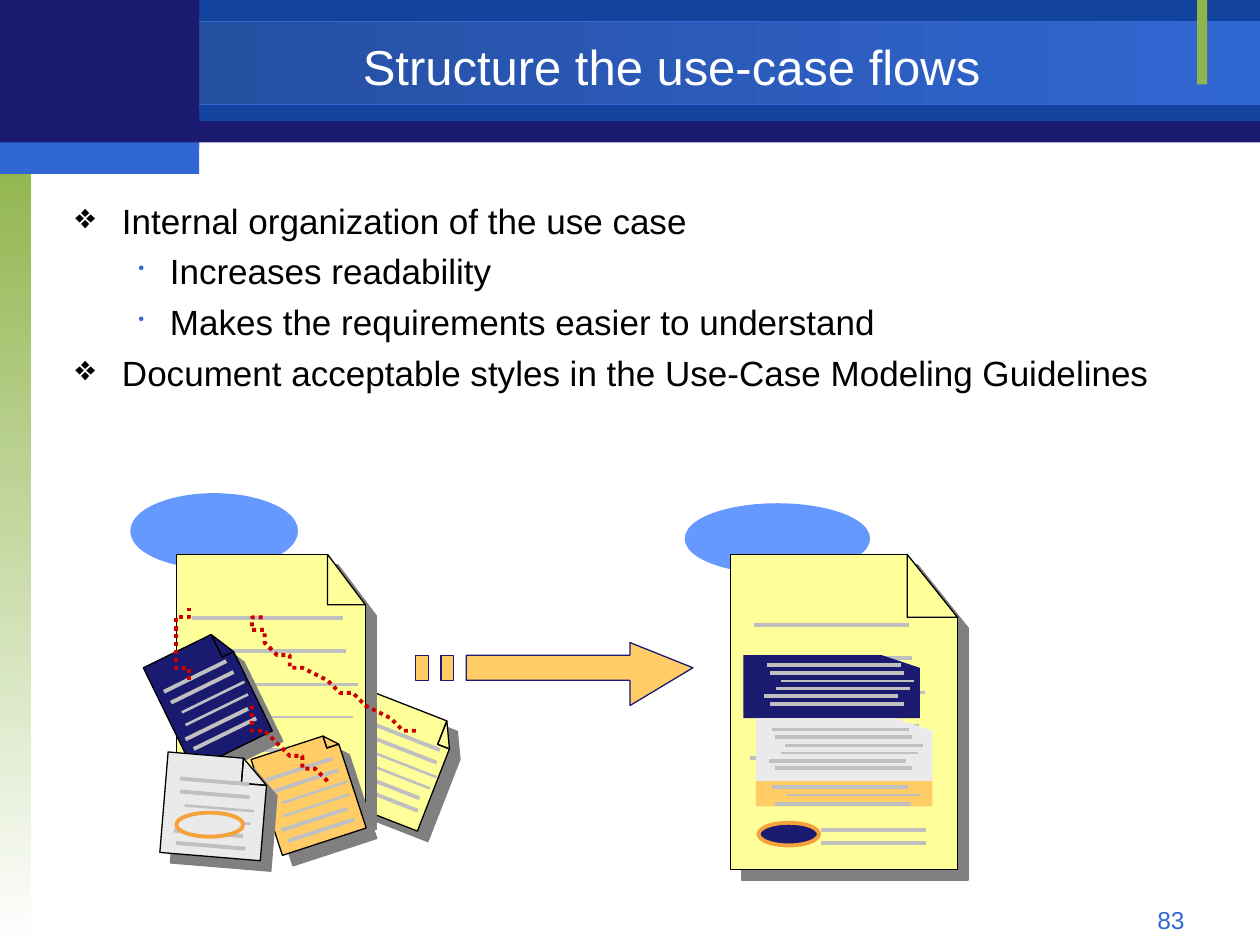
import math
from dataclasses import dataclass

import pptx
import pptx.dml.color
import pptx.enum.dml
import pptx.enum.shapes
import pptx.enum.text
import pptx.oxml
import pptx.oxml.ns
import pptx.util

COLORS = {
    "navy": "1A1A70", "blue": "12449E", "bright": "3167D3", "deep": "234A97",
    "green": "90B54D", "white": "FFFFFF", "black": "000000", "oval": "6699FF",
    "yellow": "FFFF99", "orange": "FFCC66", "gray": "EAEAEA", "rule": "C0C0C0",
    "shadow": "808080", "red": "CC0000", "ring": "F6A23C",
}
FONT = "Arial"
SHAPE = pptx.enum.shapes.MSO_SHAPE
ALIGN = pptx.enum.text.PP_ALIGN
UNIT = pptx.util.Inches(0.1)  # grid of 100 columns and 75 rows

# Text rules of a page: left and top as shares of the text block, width in points
RULES = [(0.02, 0, 2.25), (0.04, 0.2, 2.25), (0.11, 0.41, 1.5),
         (0.08, 0.61, 1.5), (0, 0.81, 2.25), (0.04, 1, 2.25)]
SHORT_RULES = [(0.02, 0, 2.25), (0.11, 0.46, 1.5), (0.04, 1, 2.25)]
RULE_LENGTH = 0.89
TEXT_BLOCK = (0.09, 0.24, 0.85, 0.61)


@dataclass
class Box:
    x: float
    y: float
    w: float
    h: float

    def sub(self, dx, dy, w, h):
        return Box(self.x + dx, self.y + dy, w, h)

    def share(self, fx, fy):
        return self.x + fx * self.w, self.y + fy * self.h

    def emu(self):
        return [round(v * UNIT) for v in (self.x, self.y, self.w, self.h)]


def rgb(name):
    return pptx.dml.color.RGBColor.from_string(COLORS[name])


def xml(tag, inner="", attrs=""):
    ns = pptx.oxml.ns.nsdecls("a")
    return pptx.oxml.parse_xml(f"<a:{tag} {ns} {attrs}>{inner}</a:{tag}>")


def style(sp, fill=None, line=None, width=0.75):
    sp.shadow.inherit = False
    if fill:
        sp.fill.solid()
        sp.fill.fore_color.rgb = rgb(fill)
    else:
        sp.fill.background()
    if line:
        sp.line.color.rgb = rgb(line)
        sp.line.width = pptx.util.Pt(width)
    else:
        sp.line.fill.background()
    return sp


def shape(s, kind, box, fill, line=None, width=0.75):
    return style(s.shapes.add_shape(kind, *box.emu()), fill, line, width)


def gradient(sp, start, end, angle):
    sp.fill.gradient()
    sp.fill.gradient_angle = angle
    for stop, name in zip(sp.fill.gradient_stops, (start, end)):
        stop.color.rgb = rgb(name)


def outline(s, contours, close=True):
    builder = s.shapes.build_freeform(*contours[0][0], scale=UNIT)
    for i, points in enumerate(contours):
        if i:
            builder.move_to(*points[0])
        builder.add_line_segments(points[1:], close=close)
    return builder.convert_to_shape()


def rule(s, start, end, width):
    ends = [round(v * UNIT) for v in (*start, *end)]
    ln = s.shapes.add_connector(pptx.enum.shapes.MSO_CONNECTOR.STRAIGHT, *ends)
    ln.line.color.rgb = rgb("rule")
    ln.line.width = pptx.util.Pt(width)
    ln._element.spPr.append(xml("effectLst"))


def text_box(s, box):
    tf = s.shapes.add_textbox(*box.emu()).text_frame
    tf.word_wrap = True
    return tf


def add_run(p, text, size, color):
    r = p.add_run()
    r.text = text
    r.font.name = FONT
    r.font.size = pptx.util.Pt(size)
    r.font.color.rgb = rgb(color)


def page(s, box, fill, tilt=0, framed=True, block=TEXT_BLOCK, rules=RULES):
    """Sheet with a folded corner and lines of text, turned about its centre."""
    fx, fy = 0.77, 0.19
    sheet = [(0, 0), (fx, 0), (fx, fy), (1, fy), (1, 1), (0, 1)]
    fold = [(fx, 0), (1, fy), (fx, fy)]
    sp = outline(s, [[box.share(*pt) for pt in part] for part in (sheet, fold)])
    style(sp, fill, "black" if framed else None)
    sp.rotation = tilt
    if framed:
        sp._element.spPr.find(pptx.oxml.ns.qn("a:effectLst")).append(
            xml("outerShdw", f'<a:srgbClr val="{COLORS["shadow"]}"/>',
                'dist="107950" dir="2700000" algn="ctr" rotWithShape="0"'))

    cx, cy = box.share(0.5, 0.5)
    cos, sin = math.cos(math.radians(tilt)), math.sin(math.radians(tilt))

    def turned(x, y):
        dx, dy = x - cx, y - cy
        return cx + dx * cos - dy * sin, cy + dx * sin + dy * cos

    lines = Box(*box.share(*block[:2]), block[2] * box.w, block[3] * box.h)
    for left, top, width in rules:
        rule(s, turned(*lines.share(left, top)),
             turned(*lines.share(left + RULE_LENGTH, top)), width)


def dotted_curve(s, box, knots, steps=10):
    """Chain of cubic curves; every third knot lies on the line."""
    points = [knots[0]]
    for i in range(0, len(knots) - 1, 3):
        for n in range(1, steps + 1):
            t = n / steps
            weights = ((1 - t) ** 3, 3 * t * (1 - t) ** 2, 3 * t * t * (1 - t), t ** 3)
            points.append(tuple(sum(w * k[axis] for w, k in zip(weights, knots[i:i + 4]))
                                for axis in (0, 1)))
    sp = outline(s, [[(box.x + x, box.y + y) for x, y in points]], close=False)
    style(sp, line="red", width=2.25)
    sp.line.dash_style = pptx.enum.dml.MSO_LINE.ROUND_DOT


def backdrop(s, box):
    bars = [((0, 0.1, 100, 11.2), "navy"), ((15.8, 0, 84.2, 9.6), "blue"),
            ((0, 1.7, 100, 6.6), "bright"), ((0, 12.5, 2.5, 62.5), "green"),
            ((95, 0, 0.8, 6.7), "green"), ((0, 0, 15.8, 11.7), "navy"),
            ((0, 11.3, 15.8, 2.5), "bright")]
    drawn = [shape(s, SHAPE.RECTANGLE, box.sub(*at), fill) for at, fill in bars]
    style(drawn[2], "bright", "bright")
    gradient(drawn[2], "deep", "bright", 0)
    gradient(drawn[3], "green", "white", 270)


def heading(s, box):
    tf = text_box(s, box)
    tf.vertical_anchor = pptx.enum.text.MSO_ANCHOR.MIDDLE
    p = tf.paragraphs[0]
    p.alignment = ALIGN.CENTER
    add_run(p, "Structure the use-case flows", 28, "white")


def bullets(s, box):
    items = [(0, "Internal organization of the use case"),
             (1, "Increases readability"),
             (1, "Makes the requirements easier to understand"),
             (0, "Document acceptable styles in the Use-Case Modeling Guidelines")]
    tf = text_box(s, box)
    tf.margin_top = pptx.util.Inches(0.08)
    for i, (level, text) in enumerate(items):
        p = tf.add_paragraph() if i else tf.paragraphs[0]
        p.level = level
        p.space_before = pptx.util.Pt(5 if i else 0)
        left, hang = ((0.37, 0.37), (0.75, 0.25))[level]
        pPr = p._p.get_or_add_pPr()
        pPr.set("marL", str(pptx.util.Inches(left)))
        pPr.set("indent", str(-pptx.util.Inches(hang)))
        if level:
            pPr.append(xml("buClr", f'<a:srgbClr val="{COLORS["bright"]}"/>'))
            pPr.append(xml("buSzPct", attrs='val="50000"'))
        pPr.append(xml("buChar", attrs=f'char="{"❖•"[level]}"'))
        add_run(p, text, 20, "black")


def arrow(s, box):
    def bar(left, right):
        return [(left, 0.25), (right, 0.25), (right, 0.75), (left, 0.75)]

    head = [(0.75, 0), (1, 0.5), (0.75, 1), (0.75, 0.75),
            (0.16, 0.75), (0.16, 0.25), (0.75, 0.25)]
    contours = [head, bar(0.06, 0.13), bar(0, 0.03)]
    style(outline(s, [[box.share(*pt) for pt in part] for part in contours]),
          "orange", "navy")


def scattered_pages(s, box):
    shape(s, SHAPE.OVAL, box.sub(0.5, 0.3, 13, 5.7), "oval", "oval", 2.25)
    notes = [(18, 17.4, "yellow", 21.3), (2.9, 12.4, "navy", -26.1),
             (10.9, 19.9, "orange", -18.1), (3.3, 21, "gray", 4.7)]
    for i, (dx, dy, fill, tilt) in enumerate(notes):
        if i == 1:  # the large page lies over the first note
            page(s, box.sub(3.5, 5, 15.9, 21.1), "yellow")
        if i == 3:  # links lie under the last note
            dotted_curve(s, box, [(23.3, 19.3), (18.7, 16.7), (14.1, 14.1), (11.9, 12.6),
                                  (9.8, 11.1), (10.3, 10.6), (10.7, 10.2)])
            dotted_curve(s, box, [(16.5, 23.1), (14, 21.4), (11.6, 19.7), (10.4, 18.7),
                                  (9.3, 17.7), (9.5, 17.4), (9.7, 17.1)])
            dotted_curve(s, box, [(4.8, 14.8), (4.4, 13.4), (4, 12.1), (4, 11.2),
                                  (4, 10.2), (4.5, 9.7), (4.9, 9.2)])
        page(s, box.sub(dx, dy, 7.3, 8.4), fill, tilt)
    shape(s, SHAPE.OVAL, box.sub(4, 25.5, 5.3, 1.9), "gray", "ring", 2.25)


def ordered_page(s, box):
    shape(s, SHAPE.OVAL, box.sub(0.5, 0.1, 14.4, 5.3), "oval", "oval", 2.25)
    page(s, box.sub(4.1, 4.2, 18.2, 24.6), "yellow", block=(0.08, 0.22, 0.76, 0.53))
    page(s, box.sub(5.4, 11.6, 14, 5), "navy", framed=False)
    page(s, box.sub(5.7, 16.7, 14.4, 5), "gray", framed=False)
    shape(s, SHAPE.OVAL, box.sub(6.2, 25.3, 4.8, 1.8), "navy", "ring", 2.25)
    page(s, box.sub(5.6, 21.9, 14.4, 2.6), "orange", framed=False,
         block=(0.1, 0.23, 0.84, 0.5), rules=SHORT_RULES)
    for dy in (25.9, 26.9):
        rule(s, (box.x + 11.2, box.y + dy), (box.x + 19.5, box.y + dy), 2.25)


def page_number(s, box):
    p = text_box(s, box).paragraphs[0]
    p.alignment = ALIGN.RIGHT
    add_run(p, "83", 14, "bright")


def main():
    prs = pptx.Presentation()
    prs.slide_width, prs.slide_height = 100 * UNIT, 75 * UNIT
    s = prs.slides.add_slide(prs.slide_layouts[6])
    backdrop(s, Box(0, 0, 100, 75))
    heading(s, Box(15.8, 2.3, 75, 5.8))
    bullets(s, Box(5, 15, 90, 55))
    arrow(s, Box(33.3, 50.8, 22.1, 4.8))
    scattered_pages(s, Box(10, 39, 27, 31))
    ordered_page(s, Box(54, 40, 23, 30))
    page_number(s, Box(71.7, 71.3, 23.3, 2.7))
    prs.save("out.pptx")


if __name__ == "__main__":
    main()
